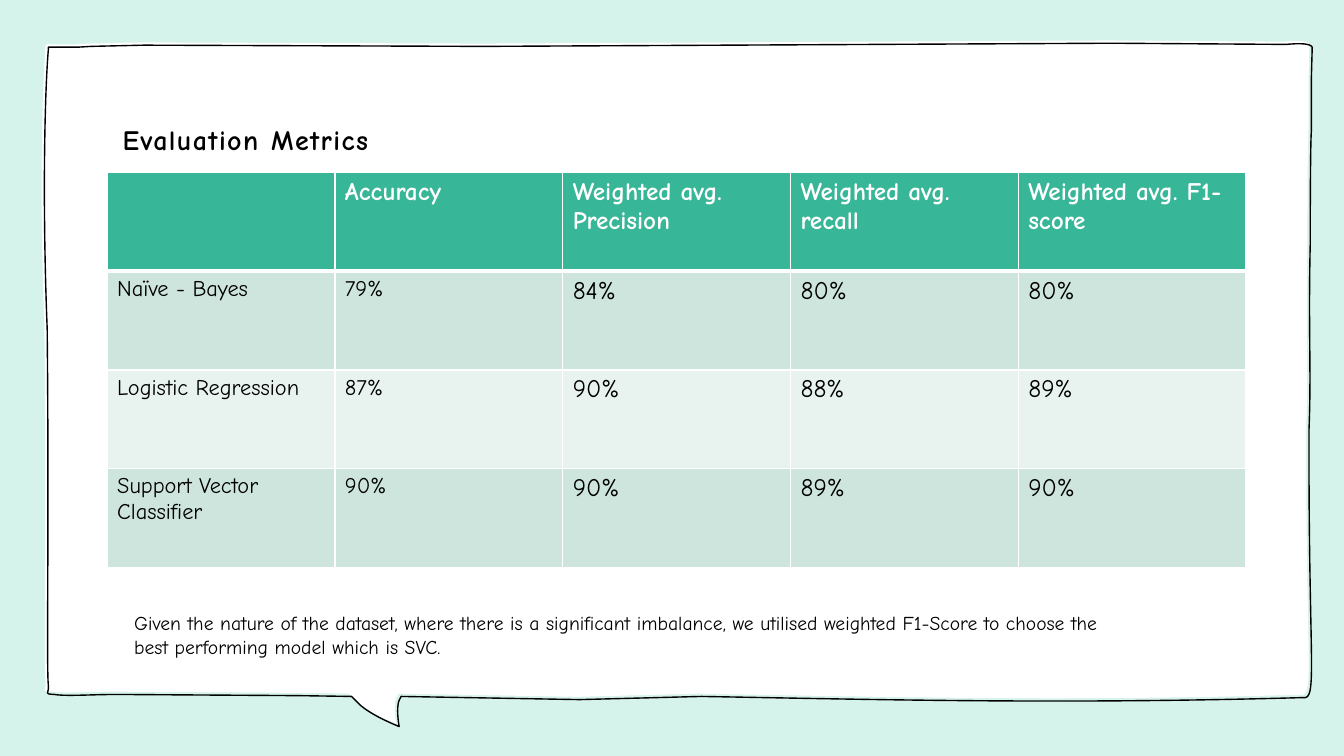
from pptx import Presentation
from pptx.dml.color import RGBColor
from pptx.enum import text
from pptx.oxml import parse_xml
from pptx.oxml.ns import nsdecls, qn
from pptx.util import Cm, Pt


def rgb(code):
    return RGBColor.from_string(code)


def write(frame, words, size, color="000000", bold=False, gap=0):
    """Fill a text frame; gap is the letter spacing in points."""
    frame.word_wrap = True
    run = frame.paragraphs[0].add_run()
    run.text = words
    font = run.font
    font.name, font.size, font.bold = "Comic Neue", Pt(size), bold
    font.color.rgb = rgb(color)
    if gap:
        run._r.get_or_add_rPr().set("spc", str(gap * 100))


prs = Presentation()
prs.slide_width, prs.slide_height = Cm(33.87), Cm(19.05)
slide = prs.slides.add_slide(prs.slide_layouts[6])
slide.background.fill.solid()
slide.background.fill.fore_color.rgb = rgb("D5F2EB")

# Speech bubble in cm: one point is a line, three are a Bézier curve
start = (28.02, 1.09)
steps = [
    [(32.41, 1.12)],
    [(32.74, 1.09), (33.02, 1.09), (33.07, 1.19)],
    [(33.05, 1.96)],
    [(33.05, 2.39), (33.05, 2.87), (33.05, 3.3)],
    [(33.02, 3.61), (33.02, 5.97), (33.02, 6.15)],
    [(32.97, 8.38), (33.05, 9.27), (32.99, 10.8)],
    [(32.97, 16.66), (33.22, 17.65), (32.84, 17.58)],
    [(26.82, 17.75), (22.15, 17.63), (17.68, 17.55)],
    [(14.61, 17.63)],
    [(10.11, 17.55)],
    [(10.06, 17.65)],
    [(10.01, 17.75), (10.01, 18.03), (10.06, 18.31)],
    [(9.78, 18.19), (9.4, 18.03), (9.09, 17.78)],
    [(8.86, 17.55)],
    [(7.52, 17.53)],
    [(2.97, 17.5)],
    [(2.29, 17.5), (1.68, 17.55), (1.37, 17.5)],
    [(1.09, 17.48), (1.24, 17.5), (1.22, 17.27)],
    [(1.17, 16.89), (1.24, 13.26), (1.19, 8.28)],
    [(1.07, 5.26), (1.12, 2.44), (1.22, 1.24)],
    [(1.22, 1.22), (1.22, 1.22), (1.22, 1.19)],
    [(1.37, 1.19)],
    [(1.96, 1.19)],
    [(2.29, 1.17)],
    [(3.63, 1.14)],
    [(12.19, 1.17)],
    [start],
]

# White paper first, then the ink outline slightly offset from it
for shift, inked in ((-0.07, False), (0, True)):
    pen = slide.shapes.build_freeform(Cm(start[0] + shift), Cm(start[1] + shift))
    pen.add_line_segments([(Cm(x + shift), Cm(y + shift))
                           for step in steps for x, y in step], close=True)
    bubble = pen.convert_to_shape()
    lines = iter(list(bubble._element.iter(qn("a:lnTo"))))
    for step in steps:
        group = [next(lines) for _ in step]
        if len(group) == 3:
            curve = parse_xml(f"<a:cubicBezTo {nsdecls('a')}/>")
            group[0].addprevious(curve)
            for line in group:
                curve.append(line[0])
                line.getparent().remove(line)
    bubble.shadow.inherit = False
    if inked:
        bubble.fill.background()
        bubble.line.color.rgb = rgb("000000")
        bubble.line.width = Pt(1)
    else:
        bubble.fill.solid()
        bubble.fill.fore_color.rgb = rgb("FFFFFF")
        bubble.line.fill.background()

title = slide.shapes.add_textbox(Cm(2.84), Cm(1.55), Cm(28.7), Cm(3.94))
title.text_frame.vertical_anchor = text.MSO_ANCHOR.MIDDLE
write(title.text_frame, "Evaluation Metrics", 20, bold=True, gap=1)

rows = [
    ("", "Accuracy", "Weighted avg. Precision", "Weighted avg. recall",
     "Weighted avg. F1-score"),
    ("Naïve - Bayes", "79%", "84%", "80%", "80%"),
    ("Logistic Regression", "87%", "90%", "88%", "89%"),
    ("Support Vector Classifier", "90%", "90%", "89%", "90%"),
]
fills = ["38B698", "CEE5DD", "E8F3EF", "CEE5DD"]
table = slide.shapes.add_table(4, 5, Cm(2.7), Cm(4.35), Cm(28.7), Cm(9.95)).table
for r, row in enumerate(rows):
    for c, words in enumerate(row):
        cell = table.cell(r, c)
        cell.fill.solid()
        cell.fill.fore_color.rgb = rgb(fills[r])
        if r == 0:
            props = cell._tc.get_or_add_tcPr()
            for i, (side, wide) in enumerate(zip("LRTB", (1, 1, 1, 3))):
                props.insert(i, parse_xml(
                    f'<a:ln{side} {nsdecls("a")} w="{Pt(wide)}"><a:solidFill>'
                    f'<a:srgbClr val="FFFFFF"/></a:solidFill></a:ln{side}>'))
        if r == 0 and words:
            write(cell.text_frame, words, 18, "FFFFFF", bold=True)
        elif words:
            write(cell.text_frame, words, 16 if c < 2 else 18)

note = slide.shapes.add_textbox(Cm(3.13), Cm(15.27), Cm(25.17), Cm(1.45))
note.text_frame.auto_size = text.MSO_AUTO_SIZE.SHAPE_TO_FIT_TEXT
write(note.text_frame, "Given the nature of the dataset, where there is a "
      "significant imbalance, we utilised weighted F1-Score to choose the best "
      "performing model which is SVC.", 14)

prs.save("out.pptx")
